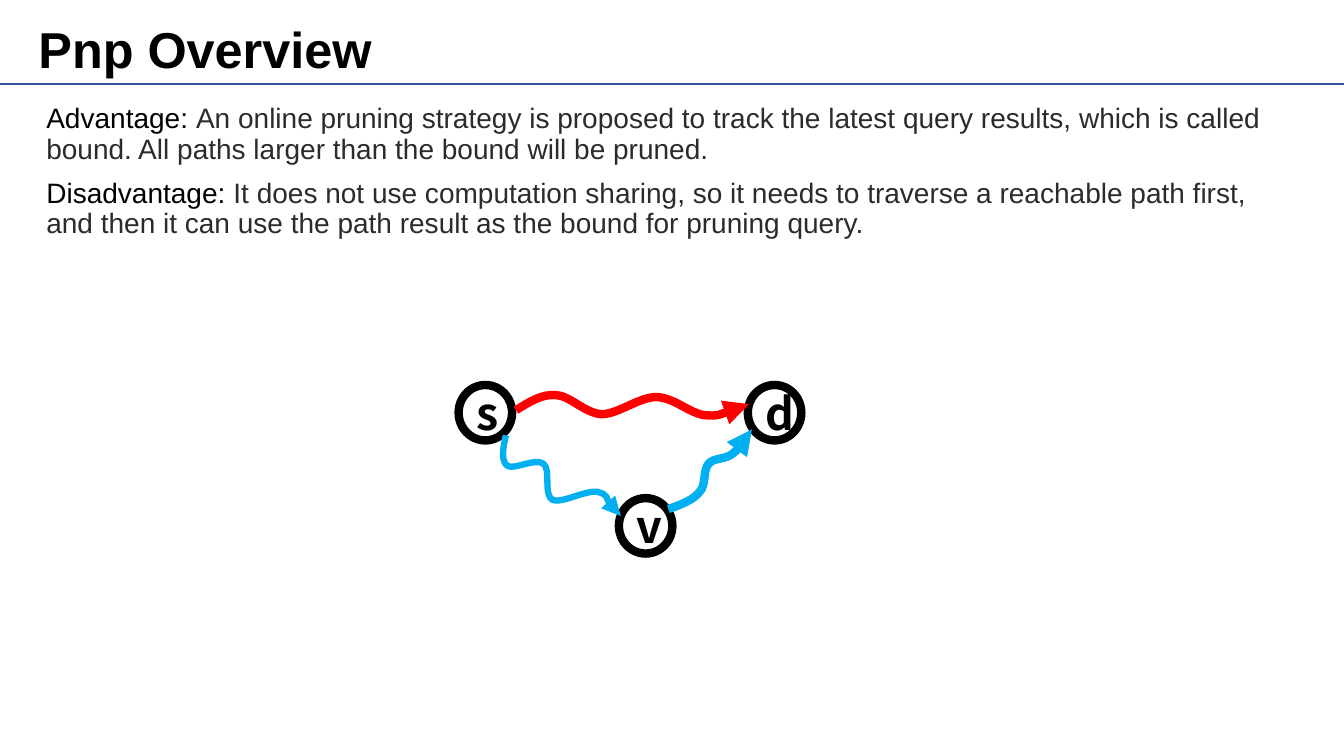
from dataclasses import dataclass

from lxml import etree
from pptx import Presentation, util as u
from pptx.dml.color import RGBColor
from pptx.enum import shapes, text
from pptx.oxml import ns


@dataclass(frozen=True)
class Theme:
    black = RGBColor(0x00, 0x00, 0x00)
    white = RGBColor(0xFF, 0xFF, 0xFF)
    body = RGBColor(0x2A, 0x2B, 0x2E)
    rule = RGBColor(0x2F, 0x55, 0x97)
    blue = RGBColor(0x00, 0xB0, 0xF0)
    red = RGBColor(0xFF, 0x00, 0x00)
    font = "Arial"
    node_font = "Noto Sans CJK SC"
    title_size = 36
    body_size = 20
    node_size = 32


theme = Theme()


def style(span, size, color, font=theme.font, bold=False):
    span.font.name = font
    span.font.size = u.Pt(size)
    span.font.color.rgb = color
    span.font.bold = bold


def add_curved_arrow(slide, start, curves, color, width):
    """Each curve holds two control points and an end point, in points."""
    ends = [(u.Pt(x), u.Pt(y)) for _, _, (x, y) in curves]
    builder = slide.shapes.build_freeform(u.Pt(start[0]), u.Pt(start[1]))
    builder.add_line_segments(ends, close=False)
    arrow = builder.convert_to_shape()
    arrow.shadow.inherit = False
    arrow.fill.background()
    arrow.line.color.rgb = color
    arrow.line.width = u.Pt(width)
    etree.SubElement(arrow.line._get_or_add_ln(), ns.qn("a:tailEnd"), type="triangle")
    # Turn each straight segment into a Bézier curve
    segments = list(arrow._element.iter(ns.qn("a:lnTo")))
    for segment, curve in zip(segments, curves):
        segment_path = segment.getparent()
        bezier = etree.Element(ns.qn("a:cubicBezTo"))
        for x, y in curve:
            etree.SubElement(bezier, ns.qn("a:pt"),
                             x=str(u.Pt(x) - arrow.left), y=str(u.Pt(y) - arrow.top))
        segment_path.replace(segment, bezier)


deck = Presentation()
deck.slide_width, deck.slide_height = u.Pt(960), u.Pt(540)
slide = deck.slides.add_slide(deck.slide_layouts[6])

# Title and rule
rule = slide.shapes.add_connector(
    shapes.MSO_CONNECTOR.STRAIGHT, u.Pt(960), u.Pt(60.2), u.Pt(0), u.Pt(60.2))
rule.line.color.rgb = theme.rule
rule.line.width = u.Pt(1.5)
etree.SubElement(rule._element.spPr, ns.qn("a:effectLst"))

title = slide.shapes.add_textbox(u.Pt(20.4), u.Pt(9.6), u.Pt(718), u.Pt(50.4))
title.text_frame.word_wrap = True
title.text_frame.vertical_anchor = text.MSO_ANCHOR.BOTTOM
title.text_frame.text = "Pnp Overview"
title_para = title.text_frame.paragraphs[0]
title_para.line_spacing = 0.9
style(title_para.runs[0], theme.title_size, theme.black, bold=True)

# Advantage and disadvantage
points = [
    ("Advantage: ",
     "An online pruning strategy is proposed to track the latest query results, "
     "which is called bound. All paths larger than the bound will be pruned."),
    ("Disadvantage: ",
     "It does not use computation sharing, so it needs to traverse a reachable path "
     "first, and then it can use the path result as the bound for pruning query."),
]
body = slide.shapes.add_textbox(u.Pt(26), u.Pt(71.2), u.Pt(898), u.Pt(418))
body.text_frame.word_wrap = True
for index, (label, detail) in enumerate(points):
    para = body.text_frame.add_paragraph() if index else body.text_frame.paragraphs[0]
    para.line_spacing = 0.9
    para.space_before = u.Pt(10)
    for words, color in ((label, theme.black), (detail, theme.body)):
        span = para.add_run()
        span.text = words
        style(span, theme.body_size, color)

# Graph nodes
for name, left, top in (("s", 327.6, 275), ("v", 442.1, 355.8), ("d", 534.2, 275)):
    node = slide.shapes.add_shape(
        shapes.MSO_SHAPE.OVAL, u.Pt(left), u.Pt(top), u.Pt(38.2), u.Pt(39.6))
    node.shadow.inherit = False
    node.fill.solid()
    node.fill.fore_color.rgb = theme.white
    node.line.color.rgb = theme.black
    node.line.width = u.Pt(6)
    node.text_frame.text = name
    node.text_frame.vertical_anchor = text.MSO_ANCHOR.MIDDLE
    node_para = node.text_frame.paragraphs[0]
    node_para.alignment = text.PP_ALIGN.CENTER
    style(node_para.runs[0], theme.node_size, theme.black, theme.node_font, bold=True)

# Paths between the nodes
s_to_v = [
    ((359.3, 319.7), (357.8, 329), (362.2, 332.6)),
    ((366.5, 336.2), (382.3, 326.9), (388.1, 331.2)),
    ((393.8, 334.8), (388.1, 353.5), (394.6, 357.1)),
    ((401, 360), (418.3, 349.9), (427, 351.4)),
    ((434.9, 353.5), (437.8, 369.4), (443.5, 368.6)),
]
v_to_d = [
    ((486, 360.7), (495.4, 357.1), (499.7, 351.4)),
    ((504.7, 346.3), (501.8, 336.2), (506.2, 331.2)),
    ((509.8, 326.9), (518.4, 328.3), (523.4, 324)),
    ((528.5, 319.7), (536.4, 309.6), (537.1, 306.7)),
]
s_to_d = [
    ((378, 287.3), (386.6, 281.5), (396.7, 282.2)),
    ((406.8, 282.2), (417.6, 295.2), (429.8, 295.9)),
    ((441.4, 295.9), (456.5, 283.7), (468.7, 283.7)),
    ((481, 283.7), (492.5, 295.2), (503.3, 296.6)),
    ((514.1, 297.4), (529.9, 290.9), (535, 288.7)),
]
add_curved_arrow(slide, (361.4, 311), s_to_v, theme.blue, 4.5)
add_curved_arrow(slide, (477.4, 363.6), v_to_d, theme.blue, 6)
add_curved_arrow(slide, (368.6, 293), s_to_d, theme.red, 6)

deck.save("out.pptx")
